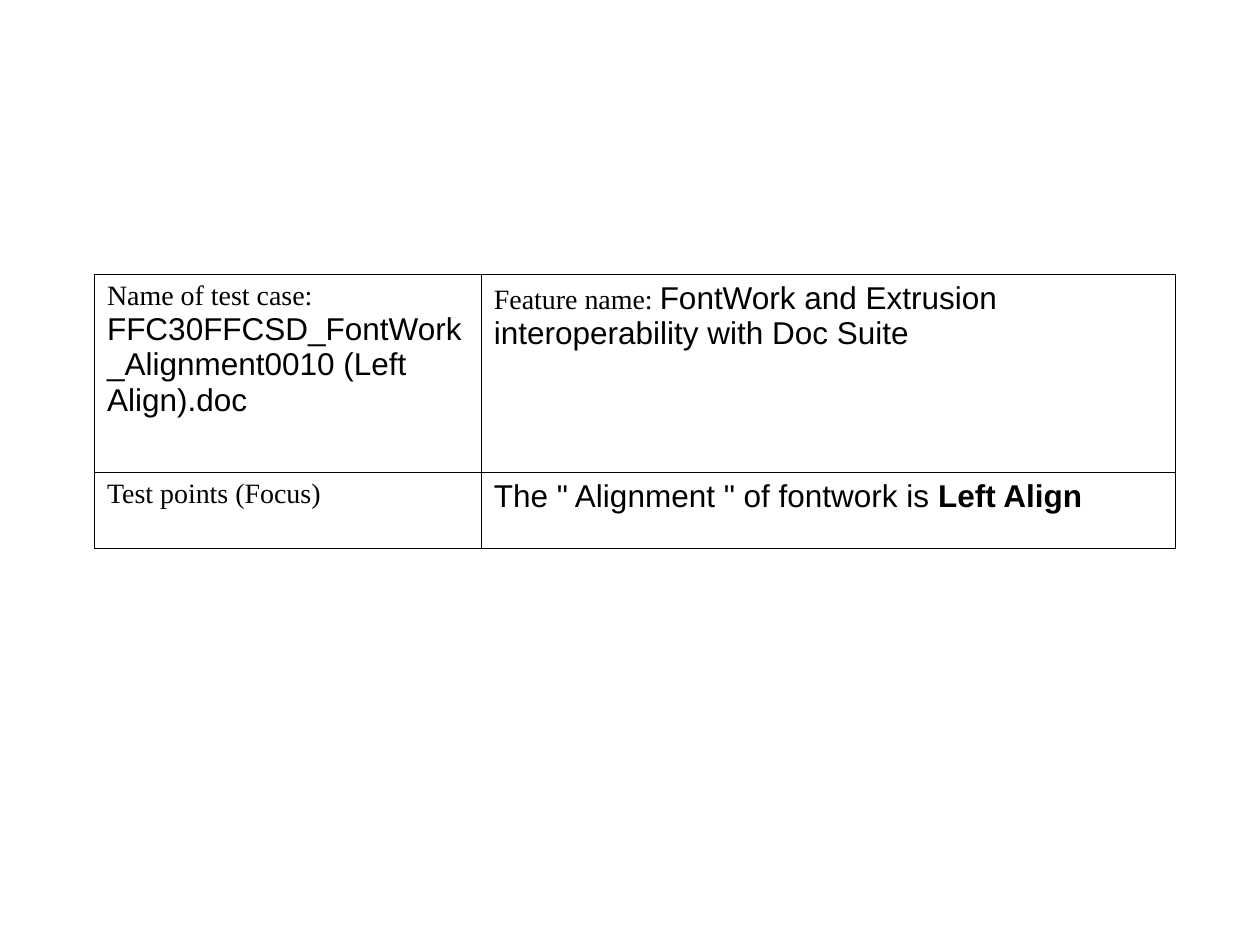
"""Build a slide with a bordered table describing a test case."""
from lxml import etree
from pptx import Presentation
from pptx.dml.color import RGBColor
from pptx.oxml.ns import qn
from pptx.util import Inches, Pt


def color(value):
    return RGBColor.from_string(value)


def add_borders(cell, value, width):
    properties = cell._tc.get_or_add_tcPr()
    for side in ("a:lnL", "a:lnR", "a:lnT", "a:lnB"):
        line = etree.SubElement(properties, qn(side), w=str(Pt(width)))
        fill = etree.SubElement(line, qn("a:solidFill"))
        etree.SubElement(fill, qn("a:srgbClr"), val=value)


LABEL = ("Times New Roman", 16, False)
VALUE = ("Arial", 18, False)
STRONG = ("Arial", 18, True)

cell_texts = [
    [
        [
            [("Name of test case:", LABEL)],
            [("FFC30FFCSD_FontWork_Alignment0010 (Left Align).doc", VALUE)],
        ],
        [
            [
                ("Feature name: ", LABEL),
                ("FontWork and Extrusion interoperability with Doc Suite", VALUE),
            ],
        ],
    ],
    [
        [[("Test points (Focus)", LABEL)]],
        [[('The " Alignment " of fontwork is ', VALUE), ("Left Align", STRONG)]],
    ],
]
column_widths = [3.07, 5.51]
row_heights = [1.57, 0.6]

presentation = Presentation()
presentation.slide_width = Inches(10)
presentation.slide_height = Inches(7.5)
slide = presentation.slides.add_slide(presentation.slide_layouts[6])

table = slide.shapes.add_table(
    len(row_heights), len(column_widths), Inches(0.75), Inches(2.18),
    Inches(sum(column_widths)), Inches(sum(row_heights)),
).table
table.first_row = False
table.horz_banding = False
for column, width in zip(table.columns, column_widths):
    column.width = Inches(width)
for row, height in zip(table.rows, row_heights):
    row.height = Inches(height)

for row, row_texts in zip(table.rows, cell_texts):
    for cell, paragraphs in zip(row.cells, row_texts):
        cell.margin_left = cell.margin_right = Inches(0.1)
        cell.margin_top = cell.margin_bottom = Inches(0.05)
        add_borders(cell, "000000", 0.45)
        cell.fill.background()
        frame = cell.text_frame
        for index, runs in enumerate(paragraphs):
            paragraph = frame.add_paragraph() if index else frame.paragraphs[0]
            for content, (name, size, bold) in runs:
                run = paragraph.add_run()
                run.text = content
                run.font.name = name
                run.font.size = Pt(size)
                run.font.bold = bold
                run.font.color.rgb = color("000000")

presentation.save("out.pptx")
